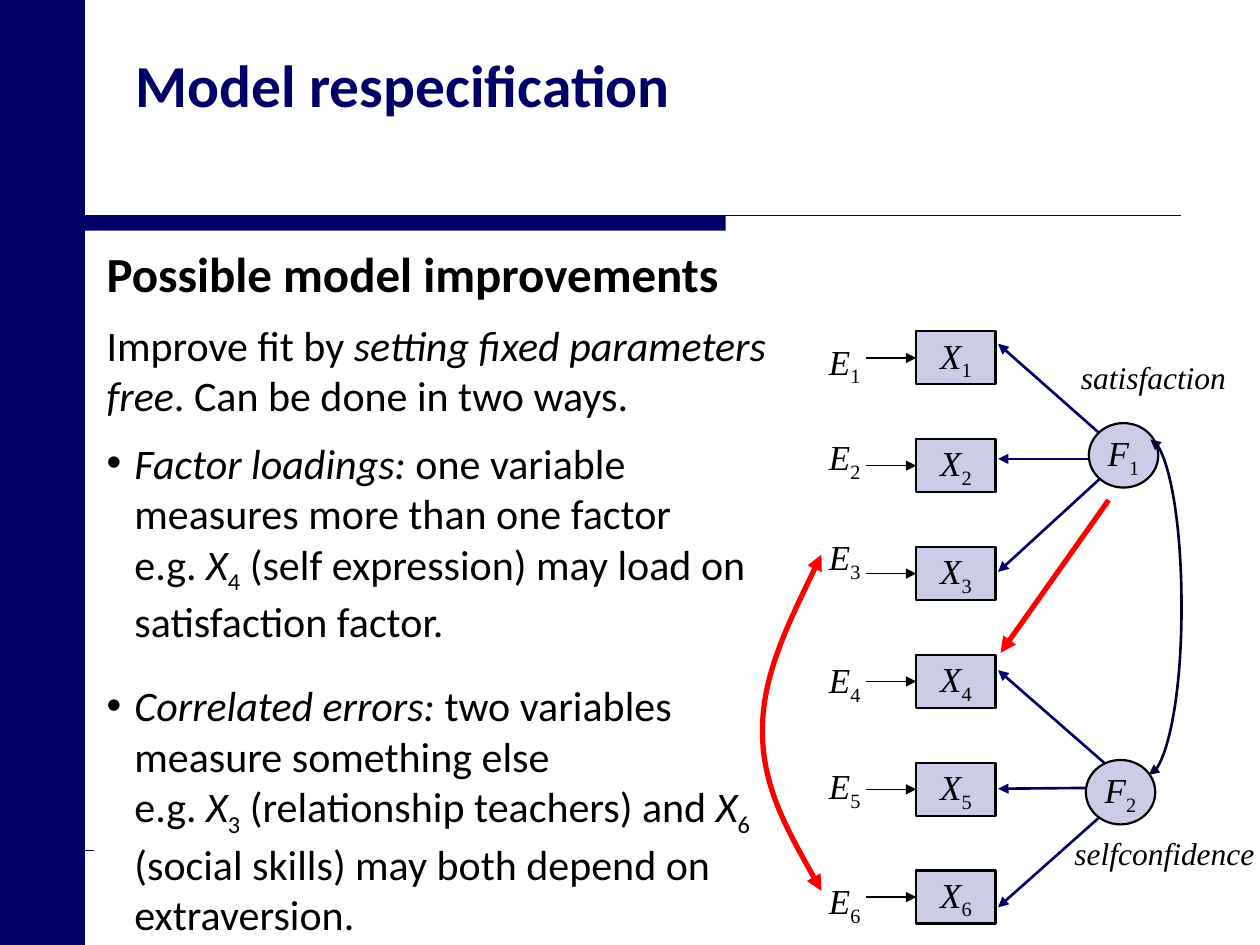
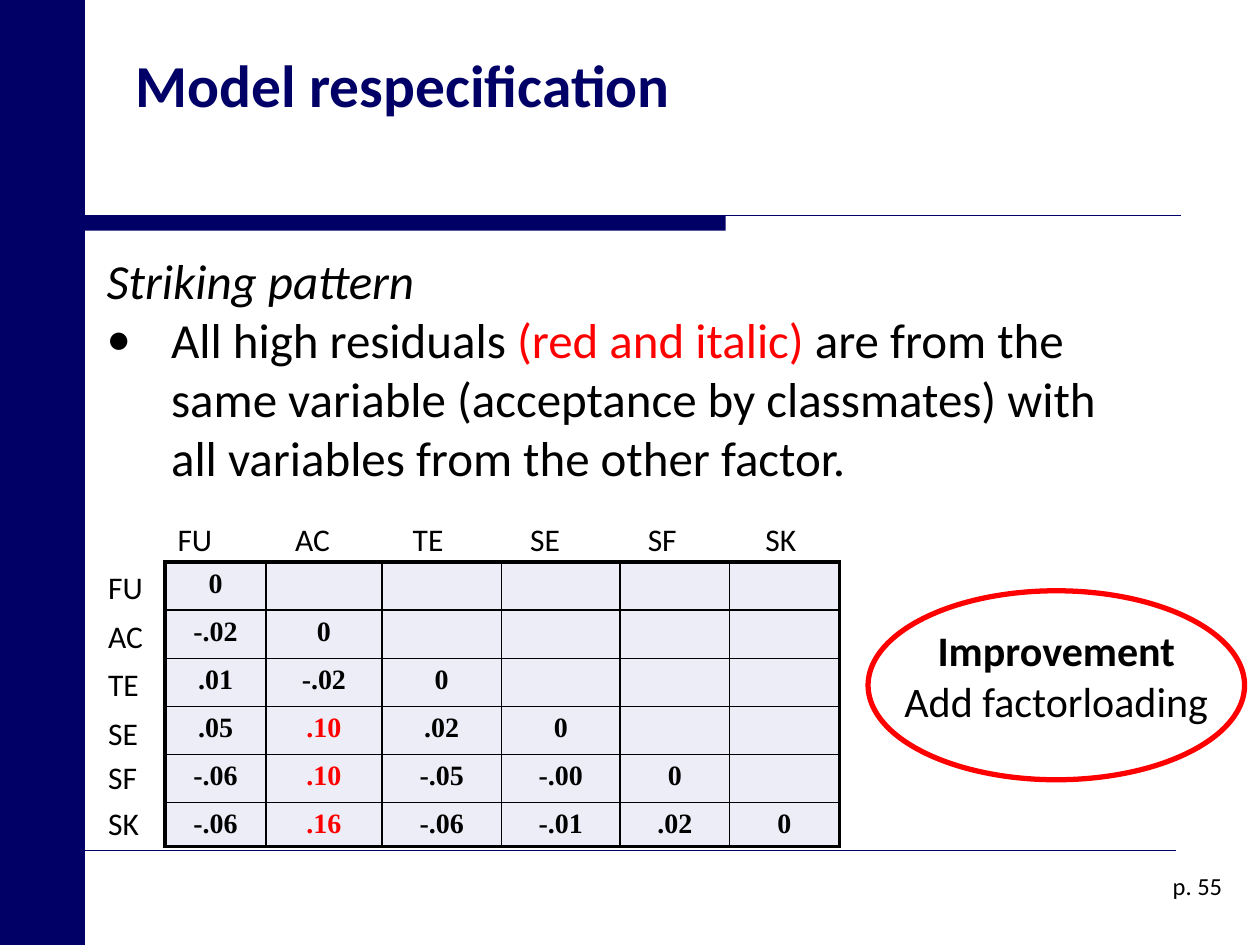
from lxml.etree import SubElement
from pptx import Presentation
from pptx.dml.color import RGBColor as Rgb
from pptx.enum.shapes import MSO_CONNECTOR as Wire, MSO_SHAPE as Kind
from pptx.enum.text import MSO_ANCHOR as Anchor, PP_ALIGN as Align
from pptx.oxml.ns import qn
from pptx.util import Cm, Pt

COLORS = {"navy": "000066", "dark": "000033", "black": "000000",
          "red": "FF0000", "lilac": "CACCE8", "pale": "EDEDF7"}
SANS, SERIF = "Calibri", "Times New Roman"
TITLE = "Model respecification"

# Runs are (text, style): b bold, i italic, s subscript, r red.
# Paragraphs are (runs, size, space before, margin, bullet font).
WAYS = [
    ([("Possible model improvements", "b")], 28, 0, 0, None),
    ([("Improve fit by ", ""), ("setting fixed parameters free", "i"),
      (". Can be done in two ways.", "")], 24, 9.8, 0, None),
    ([("Factor loadings:", "i"),
      (" one variable measures more than one factor", "")],
     24, 9.8, 0.56, "Arial"),
    ([("e.g. ", ""), ("X", "i"), ("4", "s"),
      (" (self expression) may load on satisfaction factor.", "")],
     24, 0, 0.56, None),
    ([("Correlated errors:", "i"),
      (" two variables measure something else", "")],
     24, 19.5, 0.56, "Arial"),
    ([("e.g. ", ""), ("X", "i"), ("3", "s"),
      (" (relationship teachers) and ", ""), ("X", "i"), ("6", "s"),
      (" (social skills) may both depend on extraversion.", "")],
     24, 0, 0.56, None),
]
PATTERN = [
    ([("Striking pattern", "i")], 28, 0, 0, None),
    ([("All high residuals ", ""), ("(red and italic)", "r"),
      (" are from the same variable (acceptance by classmates) with all "
       "variables from the other factor.", "")], 28, 0, 1.3, SANS),
]
ADVICE = [([("Improvement", "b")], 24, 0, 0, None),
          ([("Add factorloading", "")], 24, 0, 0, None)]

# Path diagram, in cm
ERROR_TOPS = [6.73, 8.66, 10.67, 13.16, 15.29, 17.6]
FACTORS = [("1", 21.95, 8.53), ("2", 21.89, 15.32)]
NAMES = [("satisfaction", 21.54, 7.09, 3.48),
         ("selfconfidence", 21.41, 16.69, 4.19)]
LOAD_X = 20.12
LOADS = [(22.25, 8.81, 6.93), (22.58, 9.25, 9.25), (22.48, 9.37, 11.53),
         (22.48, 15.57, 13.51), (22.28, 15.88, 15.9), (22.53, 16.15, 18.29)]
NEW_LOAD = (22.35, 10.08, 20.17, 13.16)
NEW_CURVE = [(16.56, 11.18), (15.98, 12.4), (15.37, 13.59), (15.37, 14.73),
             (15.37, 15.88), (15.98, 16.92), (16.56, 17.96)]

# Residual table
ITEMS = ["FU", "AC", "TE", "SE", "SF", "SK"]
ITEM_GAPS = [0, 6.1, 6.1, 6.1, 3.7, 4.9]
RESIDUALS = [["0"],
             ["-.02", "0"],
             [".01", "-.02", "0"],
             [".05", ".10", ".02", "0"],
             ["-.06", ".10", "-.05", "-.00", "0"],
             ["-.06", ".16", "-.06", "-.01", ".02", "0"]]
COLS = [2.03, 2.34, 2.41, 2.39, 2.21, 2.21]
ROWS = [0.97] * 5 + [0.89]


def tint(name):
    return Rgb.from_string(COLORS[name])


def set_font(para, size, face=SANS, color="black", bold=False):
    font = para.font
    font.size, font.name, font.bold = Pt(size), face, bold
    font.color.rgb = tint(color)


def add_runs(para, runs):
    for text, style in runs:
        run = para.add_run()
        run.text = text
        if "b" in style:
            run.font.bold = True
        if "i" in style:
            run.font.italic = True
        if "r" in style:
            run.font.color.rgb = tint("red")
        if "s" in style:
            run._r.get_or_add_rPr().set("baseline", "-25000")


def fill_text(frame, paras, face=SANS, color="black", align=Align.LEFT):
    for n, (runs, size, gap, margin, bullet) in enumerate(paras):
        para = frame.add_paragraph() if n else frame.paragraphs[0]
        para.alignment, para.space_before = align, Pt(gap)
        props = para._p.get_or_add_pPr()
        props.set("marL", str(Cm(margin)))
        props.set("indent", str(-Cm(margin) if bullet else 0))
        if bullet:
            SubElement(props, qn("a:buFont"), typeface=bullet)
            SubElement(props, qn("a:buChar"), char="•")
        set_font(para, size, face, color)
        add_runs(para, runs)


def add_text(slide, box, paras, wrap=True, anchor=Anchor.TOP, **look):
    frame = slide.shapes.add_textbox(*map(Cm, box)).text_frame
    frame.word_wrap, frame.vertical_anchor = wrap, anchor
    fill_text(frame, paras, **look)


def add_form(slide, kind, box, fill=None, line=None, width=1):
    form = slide.shapes.add_shape(kind, *map(Cm, box))
    form.shadow.inherit = False
    if fill:
        form.fill.solid()
        form.fill.fore_color.rgb = tint(fill)
    else:
        form.fill.background()
    if line:
        form.line.color.rgb, form.line.width = tint(line), Pt(width)
    else:
        form.line.fill.background()
    return form


def add_heads(shape, *ends):
    for end in ends:
        SubElement(shape._element.spPr.find(qn("a:ln")), qn("a:" + end),
                   type="triangle")


def add_line(slide, ends, color, width, heads=(), kind=Wire.STRAIGHT):
    line = slide.shapes.add_connector(kind, *map(Cm, ends))
    line.line.color.rgb, line.line.width = tint(color), Pt(width)
    add_heads(line, *heads)
    SubElement(line._element.spPr, qn("a:effectLst"))
    return line


def add_curve(slide, points, color, width):
    """Draw joined cubic curves: a start, then three points for each curve."""
    (x, y), *rest = [(Cm(a), Cm(b)) for a, b in points]
    pen = slide.shapes.build_freeform(x, y)
    pen.add_line_segments(rest, close=False)
    curve = pen.convert_to_shape()
    curve.shadow.inherit = False
    curve.fill.background()
    curve.line.color.rgb, curve.line.width = tint(color), Pt(width)
    add_heads(curve, "headEnd", "tailEnd")
    route = next(curve._element.iter(qn("a:path")))
    steps = route.findall(qn("a:lnTo"))
    for n in range(0, len(steps), 3):
        bend = SubElement(route, qn("a:cubicBezTo"))
        for step in steps[n:n + 3]:
            bend.append(step[0])
            route.remove(step)


def add_symbol(slide, kind, box, letter, digit):
    form = add_form(slide, kind, box, "lilac", "black", 1.25)
    frame = form.text_frame
    frame.word_wrap, frame.vertical_anchor = False, Anchor.MIDDLE
    frame.margin_left = frame.margin_right = 0
    frame.margin_top = frame.margin_bottom = 0
    fill_text(frame, symbol(letter, digit), SERIF, align=Align.CENTER)
    return form


def symbol(letter, digit):
    return [([(letter, "i"), (digit, "s")], 20, 0, 0, None)]


def new_slide(deck, foot):
    """Add a slide with bands and title; the foot rule ends at foot."""
    slide = deck.slides.add_slide(deck.slide_layouts[6])
    add_form(slide, Kind.RECTANGLE, (1.7, 4.34, 12.93, 0.31), "navy")
    add_line(slide, (1.7, 4.34, 23.8, 4.34), "navy", 0.75)
    add_line(slide, (1.7, 17.15, foot, 17.15), "navy", 0.25)
    add_form(slide, Kind.RECTANGLE, (0, 0, 1.7, 19.05), "navy", "navy")
    add_text(slide, (2.49, 0.84, 19.53, 3.38),
             [([(TITLE, "b")], 34, 0, 0, None)], color="navy")
    return slide


def draw_model(slide):
    add_line(slide, NEW_LOAD, "red", 3, ["tailEnd"])
    add_curve(slide, NEW_CURVE, "red", 3)
    for x, y, end in LOADS:
        add_line(slide, (x, y, LOAD_X, end), "navy", 1.5, ["tailEnd"])
    for digit, x, y in FACTORS:
        add_symbol(slide, Kind.OVAL, (x, y, 1.4, 1.3), "F", digit)
    for n, top in enumerate(ERROR_TOPS):
        y, digit = 6.68 + 2.174 * n, str(n + 1)
        box = add_symbol(slide, Kind.RECTANGLE, (18.47, y, 1.6, 1.07),
                         "X", digit)
        add_text(slide, (16.46, top, 1.17, 1.09), symbol("E", digit),
                 wrap=False, face=SERIF)
        mid = y + 0.535
        arrow = add_line(slide, (17.45, mid, 18.47, mid), "black", 0.75,
                         ["tailEnd"])
        arrow.end_connect(box, 1)
    for name, x, y, width in NAMES:
        add_text(slide, (x, y, width, 1.02),
                 [([(name, "i")], 18, 0, 0, None)], wrap=False, face=SERIF)
    link = add_line(slide, (23.19, 8.86, 23.16, 15.62), "dark", 1.5,
                    ["headEnd", "tailEnd"], Wire.CURVE)
    bends = next(link._element.iter(qn("a:avLst")))
    SubElement(bends, qn("a:gd"), name="adj1", fmla="val -2100000")


def add_border(cell, side, width):
    line = SubElement(cell._tc.get_or_add_tcPr(), qn("a:ln" + side),
                      w=str(Pt(width)))
    fill = SubElement(line, qn("a:solidFill"))
    SubElement(fill, qn("a:srgbClr"), val=COLORS["black"])


def draw_table(slide):
    size = len(ITEMS)
    table = slide.shapes.add_table(size, size, Cm(3.33), Cm(11.33),
                                   Cm(sum(COLS)), Cm(sum(ROWS))).table
    table.first_row = table.horz_banding = False
    for n in range(size):
        table.columns[n].width, table.rows[n].height = Cm(COLS[n]), Cm(ROWS[n])
    for r, values in enumerate(RESIDUALS):
        for c in range(size):
            cell = table.cell(r, c)
            edges = {"L": c == 0, "R": c == size - 1,
                     "T": r == 0, "B": r == size - 1}
            for side, outer in edges.items():
                add_border(cell, side, 2.25 if outer else 1)
            cell.fill.solid()
            cell.fill.fore_color.rgb = tint("pale")
            cell.margin_bottom = 0
            para = cell.text_frame.paragraphs[0]
            para.alignment = Align.CENTER
            value = values[c] if c < len(values) else ""
            high = value and abs(float(value)) >= 0.1
            set_font(para, 16, SERIF, "red" if high else "black", True)
            if value:
                para.add_run().text = value


def draw_labels(slide):
    for n, item in enumerate(ITEMS):
        add_text(slide, (3.33 + 2.37 * n, 10.36, 2.3, 1.02),
                 [([(item, "")], 18, 0, 0, None)])
    add_text(slide, (1.93, 11.33, 1.4, 5.94),
             [([(item, "")], 18, gap, 0, None)
              for item, gap in zip(ITEMS, ITEM_GAPS)])


def main():
    deck = Presentation()
    deck.slide_width, deck.slide_height = Cm(25.4), Cm(19.05)

    slide = new_slide(deck, 1.9)
    add_text(slide, (1.9, 4.78, 14.4, 14.2), WAYS)
    draw_model(slide)

    slide = new_slide(deck, 23.7)
    add_text(slide, (19.61, 17.12, 5.28, 1.47),
             [([("p. 55", "")], 14, 0, 0, None)],
             anchor=Anchor.MIDDLE, align=Align.RIGHT)
    add_text(slide, (1.9, 4.93, 21.2, 6.88), PATTERN)
    oval = add_form(slide, Kind.OVAL, (17.5, 11.91, 7.59, 3.81),
                    line="red", width=3)
    oval.text_frame.word_wrap = False
    oval.text_frame.vertical_anchor = Anchor.TOP
    fill_text(oval.text_frame, ADVICE, align=Align.CENTER)
    draw_table(slide)
    draw_labels(slide)
    deck.save("out.pptx")


if __name__ == "__main__":
    main()
